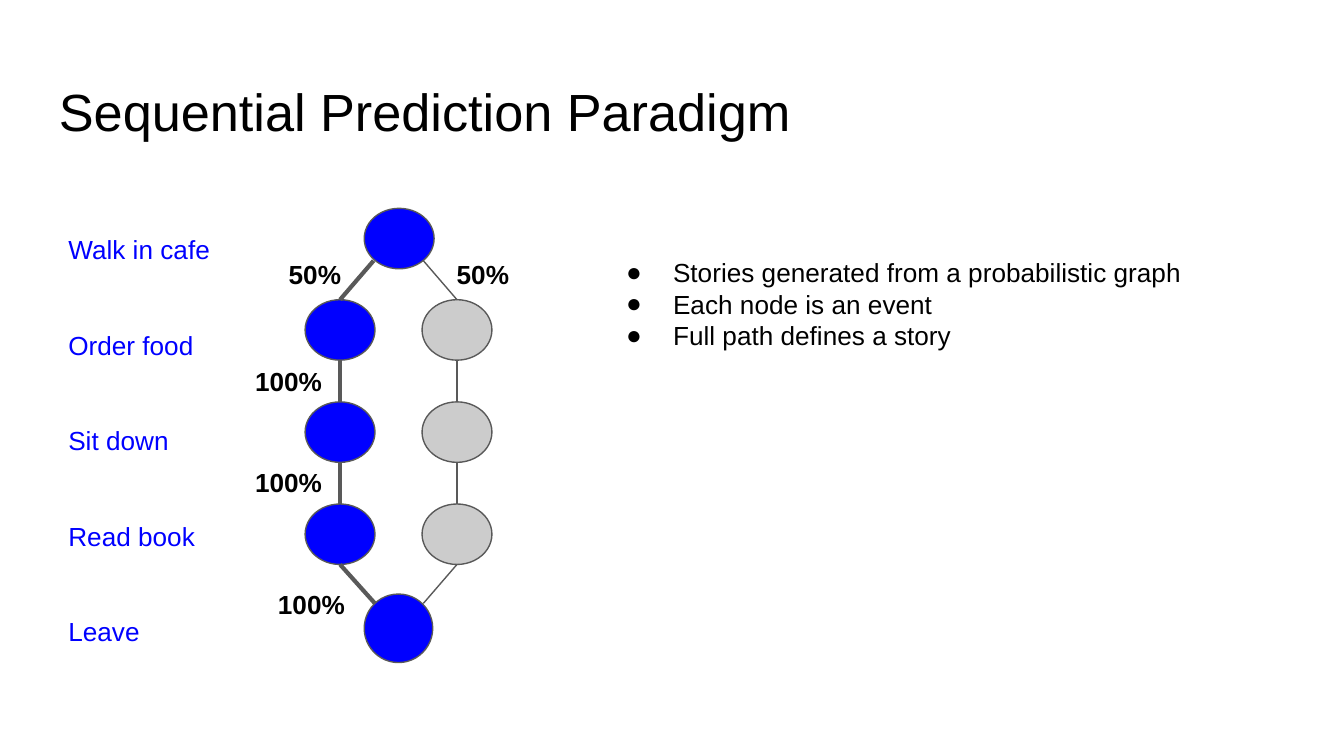
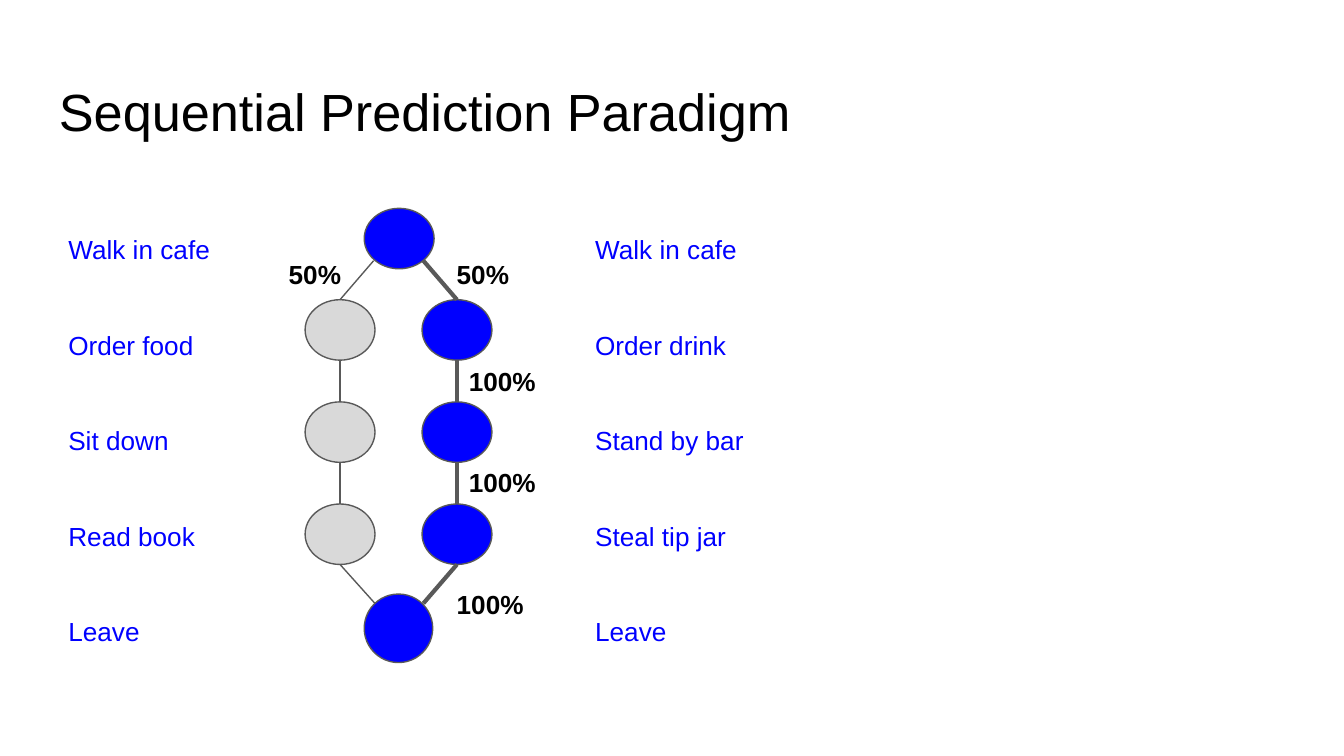
"""Build two slides that follow a story through a probabilistic event graph."""
from dataclasses import dataclass

import lxml.etree
import pptx
import pptx.dml.color
import pptx.enum.shapes
import pptx.oxml.ns
import pptx.presentation
import pptx.shapes.autoshape
import pptx.slide
import pptx.util

Inches = pptx.util.Inches
Pt = pptx.util.Pt


@dataclass(frozen=True)
class Theme:
    font: str = "Arial"
    title_size: int = 28
    body_size: int = 14
    black: str = "000000"
    blue: str = "0000FF"
    outline: str = "595959"
    white: str = "FFFFFF"
    thin: float = 0.75
    thick: float = 2.25


@dataclass(frozen=True)
class Label:
    text: str
    left: float
    top: float
    width: float
    height: float
    color: str
    size: int
    bold: bool = False


@dataclass(frozen=True)
class Story:
    active_column: int
    idle_color: str
    percent_lefts: tuple[float, ...]


THEME = Theme()
TITLE = Label("Sequential Prediction Paradigm", 0.34, 0.49, 9.32, 0.63,
              THEME.black, THEME.title_size)
FOOD_EVENTS = ("Walk in cafe", "Order food", "Sit down", "Read book", "Leave")
DRINK_EVENTS = ("Walk in cafe", "Order drink", "Stand by bar", "Steal tip jar", "Leave")
POINTS = ("Stories generated from a probabilistic graph",
          "Each node is an event", "Full path defines a story")
FOOD_STORY = Story(0, "CCCCCC", (1.8, 1.8, 1.97))
DRINK_STORY = Story(1, "D9D9D9", (3.39, 3.39, 3.3))

NODE_WIDTH, NODE_HEIGHT = 0.52, 0.45
COLUMN_LEFTS = (2.27, 3.14)
ROW_TOP, ROW_STEP, ROW_COUNT = 2.23, 0.76, 3
START_EXITS, START_EXIT_TOP = (2.78, 3.15), 1.94
FINISH_ENTRIES, FINISH_ENTRY_TOP = (2.79, 3.15), 4.49
BRANCH_LEFTS, BRANCH_TOP = (2.05, 3.3), 1.82
PERCENT_TOPS = (2.62, 3.37, 4.28)
FOOD_LEFT, DRINK_LEFT = 0.41, 4.33
EVENT_TOP, EVENT_STEP = 1.64, 0.71


def rgb(color: str) -> pptx.dml.color.RGBColor:
    return pptx.dml.color.RGBColor.from_string(color)


def add_label(page: pptx.slide.Slide, label: Label) -> pptx.shapes.autoshape.Shape:
    box = page.shapes.add_textbox(Inches(label.left), Inches(label.top),
                                  Inches(label.width), Inches(label.height))
    frame = box.text_frame
    frame.word_wrap = True
    frame.margin_left = frame.margin_right = Inches(0.1)
    frame.margin_top = frame.margin_bottom = Inches(0.1)
    frame.text = label.text
    for para in frame.paragraphs:
        for span in para.runs:
            span.font.name = THEME.font
            span.font.size = Pt(label.size)
            span.font.bold = label.bold
            span.font.color.rgb = rgb(label.color)
    return box


def add_bullets(page: pptx.slide.Slide) -> None:
    box = add_label(page, Label("\n".join(POINTS), 4.41, 1.81, 4.96, 2.4,
                                THEME.black, THEME.body_size))
    qualify = pptx.oxml.ns.qn
    for para in box.text_frame.paragraphs:
        properties = para._p.get_or_add_pPr()
        properties.set("marL", str(Inches(0.5)))
        properties.set("indent", str(Inches(-0.35)))
        color = lxml.etree.SubElement(properties, qualify("a:buClr"))
        lxml.etree.SubElement(color, qualify("a:srgbClr"), val=THEME.black)
        lxml.etree.SubElement(properties, qualify("a:buSzPts"),
                              val=str(THEME.body_size * 100))
        lxml.etree.SubElement(properties, qualify("a:buFont"), typeface=THEME.font)
        lxml.etree.SubElement(properties, qualify("a:buChar"), char="●")


def add_node(page: pptx.slide.Slide, left: float, top: float, color: str,
             width: float = NODE_WIDTH,
             height: float = NODE_HEIGHT) -> pptx.shapes.autoshape.Shape:
    node = page.shapes.add_shape(pptx.enum.shapes.MSO_SHAPE.OVAL, Inches(left),
                                 Inches(top), Inches(width), Inches(height))
    node.shadow.inherit = False
    node.fill.solid()
    node.fill.fore_color.rgb = rgb(color)
    node.line.color.rgb = rgb(THEME.outline)
    node.line.width = Pt(THEME.thin)
    return node


def add_edge(page: pptx.slide.Slide, start: tuple[float, float], end: tuple[float, float],
             weight: float, target: pptx.shapes.autoshape.Shape | None = None) -> None:
    edge = page.shapes.add_connector(pptx.enum.shapes.MSO_CONNECTOR.STRAIGHT,
                                     *(Inches(value) for value in (*start, *end)))
    edge.line.color.rgb = rgb(THEME.outline)
    edge.line.width = Pt(weight)
    lxml.etree.SubElement(edge._element.spPr, pptx.oxml.ns.qn("a:effectLst"))
    if target is not None:
        edge.end_connect(target, 0)


def add_graph(page: pptx.slide.Slide, story: Story) -> None:
    add_node(page, 2.71, 1.55, THEME.blue)
    for column, left in enumerate(COLUMN_LEFTS):
        active = column == story.active_column
        color = THEME.blue if active else story.idle_color
        weight = THEME.thick if active else THEME.thin
        center = left + NODE_WIDTH / 2
        start = (START_EXITS[column], START_EXIT_TOP)
        for row in range(ROW_COUNT):
            top = ROW_TOP + row * ROW_STEP
            node = add_node(page, left, top, color)
            add_edge(page, start, (center, top), weight, node)
            start = (center, top + NODE_HEIGHT)
        add_edge(page, start, (FINISH_ENTRIES[column], FINISH_ENTRY_TOP), weight)
    add_node(page, 2.71, 4.42, THEME.blue, 0.51, 0.51)

    for left in BRANCH_LEFTS:
        add_label(page, Label("50%", left, BRANCH_TOP, 0.63, 0.4,
                              THEME.black, THEME.body_size, True))
    for left, top in zip(story.percent_lefts, PERCENT_TOPS):
        add_label(page, Label("100%", left, top, 0.74, 0.4,
                              THEME.black, THEME.body_size, True))


def add_events(page: pptx.slide.Slide, events: tuple[str, ...], left: float,
               width: float = 1.28) -> None:
    for row, event in enumerate(events):
        add_label(page, Label(event, left, EVENT_TOP + row * EVENT_STEP, width, 0.36,
                              THEME.blue, THEME.body_size))


def add_story_page(deck: pptx.presentation.Presentation, story: Story) -> pptx.slide.Slide:
    page = deck.slides.add_slide(deck.slide_layouts[6])
    page.background.fill.solid()
    page.background.fill.fore_color.rgb = rgb(THEME.white)
    add_label(page, TITLE)
    add_graph(page, story)
    add_events(page, FOOD_EVENTS, FOOD_LEFT)
    return page


def main() -> None:
    deck = pptx.Presentation()
    deck.slide_width = Inches(10)
    deck.slide_height = Inches(10 * 9 / 16)
    add_bullets(add_story_page(deck, FOOD_STORY))
    add_events(add_story_page(deck, DRINK_STORY), DRINK_EVENTS, DRINK_LEFT, 1.4)
    deck.save("out.pptx")


if __name__ == "__main__":
    main()
